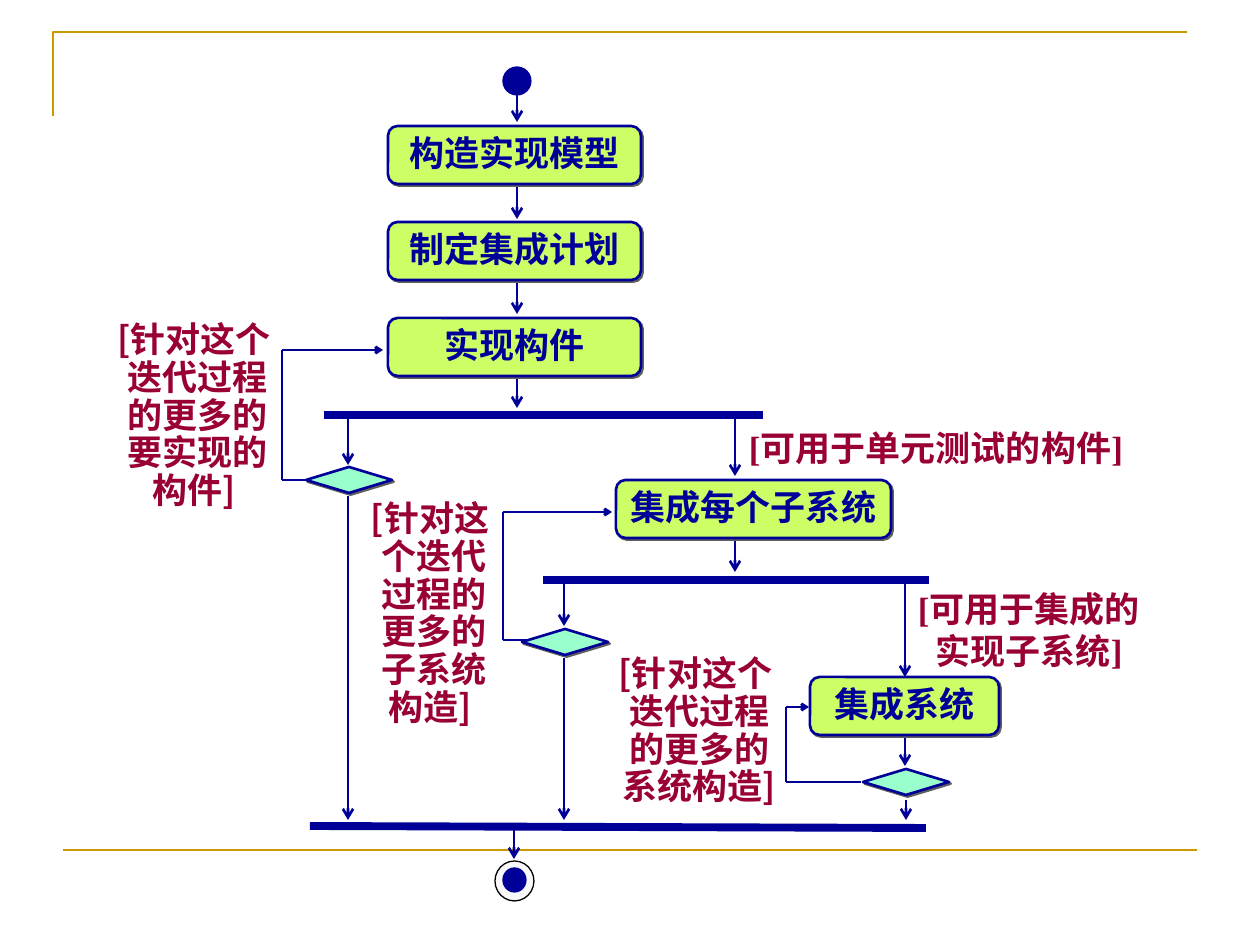
from itertools import pairwise

from lxml.etree import SubElement
from pptx import Presentation
from pptx.dml.color import RGBColor
from pptx.enum.shapes import MSO_CONNECTOR, MSO_SHAPE
from pptx.enum.text import MSO_ANCHOR, MSO_AUTO_SIZE, PP_ALIGN
from pptx.oxml.ns import qn
from pptx.util import Pt

PX = 914400 / 126
NAVY = RGBColor(0x00, 0x00, 0x99)
GOLD = RGBColor(0xCC, 0x99, 0x00)
LIME = RGBColor(0xCC, 0xFF, 0x66)
MINT = RGBColor(0x99, 0xFF, 0xCC)
WINE = RGBColor(0x99, 0x00, 0x33)
PALE = RGBColor(0xF8, 0xF8, 0xF8)
BLACK = RGBColor(0x00, 0x00, 0x00)
SERIF = "Times New Roman"
SANS = "Noto Sans CJK SC"

ACTIVITIES = [
    ("构造实现模型", 388, 126, 253),
    ("制定集成计划", 388, 222, 253),
    ("实现构件", 388, 318, 253),
    ("集成每个子系统", 616, 480, 275),
    ("集成系统", 810, 677, 189),
]
DECISIONS = [(306, 467), (522, 629), (863, 769)]
FLOWS = [
    (517, 89, 122), (517, 185, 219), (517, 280, 314), (517, 374, 408),
    (348, 417, 465), (348, 496, 820), (735, 418, 476), (735, 514, 572),
    (564, 577, 626), (564, 658, 820), (905, 580, 677), (905, 717, 766),
    (906, 800, 820), (514, 827, 859),
]
LOOPS = [
    [(307, 480), (282, 480), (282, 350), (383, 350)],
    [(527, 640), (503, 640), (503, 512), (612, 512)],
    [(861, 782), (786, 782), (786, 707), (809, 707)],
]
BARS = [
    ((324, 415), (763, 415)),
    ((543, 580), (929, 580)),
    ((310, 826), (926, 828)),
]
GUARDS = [
    (["[可用于单元测试的构件]"], (728, 420, 416, 55), SERIF, 1.0),
    (["[可用于集成的", "实现子系统]"], (901, 581, 256, 97), SERIF, 1.0),
    (["[针对这个", " 迭代过程", " 的更多的", " 系统构造]"],
     (591, 650, 209, 164), SANS, 0.9),
    (["[针对这", " 个迭代", " 过程的", " 更多的", " 子系统", "构造]"],
     (352, 495, 156, 239), SANS, 0.9),
    (["[针对这个", " 迭代过程", " 的更多的", " 要实现的", "构件]"],
     (98, 316, 192, 202), SANS, 0.9),
]


def px(*lengths):
    """Turn lengths in px into EMU."""
    return [round(length * PX) for length in lengths]


def add_line(slide, start, end, color=NAVY, width=1.5, head=None):
    """Draw a straight line, with an open arrowhead of the given size if any."""
    line = slide.shapes.add_connector(MSO_CONNECTOR.STRAIGHT, *px(*start, *end))
    line.line.color.rgb = color
    line.line.width = Pt(width)
    if head:
        SubElement(line.line._get_or_add_ln(), qn("a:tailEnd"),
                   type="arrow", w=head, len=head)
    SubElement(line._element.spPr, qn("a:effectLst"))


def add_loop(slide, points):
    """Draw a bent return path that ends in an arrow."""
    segments = list(pairwise(points))
    for start, end in segments[:-1]:
        add_line(slide, start, end)
    add_line(slide, *segments[-1], head="sm")


def add_node(slide, kind, box, fill, outline=NAVY, width=1.5, shadow=False):
    """Add a filled preset shape, with a hard grey shadow if asked."""
    shape = slide.shapes.add_shape(kind, *px(*box))
    shape.fill.solid()
    shape.fill.fore_color.rgb = fill
    shape.line.color.rgb = outline
    shape.line.width = Pt(width)
    shape.shadow.inherit = False
    if shadow:
        effects = shape._element.spPr.find(qn("a:effectLst"))
        outer = SubElement(effects, qn("a:outerShdw"), dist=str(Pt(1.4)),
                           dir="2700000", algn="ctr", rotWithShape="0")
        SubElement(outer, qn("a:srgbClr"), val="5F5F5F")
    return shape


def write_text(shape, lines, color, font_name, spacing):
    """Set bold centred lines in a shape that does not wrap."""
    frame = shape.text_frame
    frame.word_wrap = False
    frame.text = "\n".join(lines)
    for paragraph in frame.paragraphs:
        paragraph.alignment = PP_ALIGN.CENTER
        paragraph.line_spacing = spacing
        for run in paragraph.runs:
            run.font.name = font_name
            run.font.size = Pt(20)
            run.font.bold = True
            run.font.color.rgb = color
            SubElement(run.font._element, qn("a:ea"), typeface=SANS)


def add_activity(slide, name, left, top, width):
    """Add a rounded activity box with its name."""
    shape = add_node(slide, MSO_SHAPE.ROUNDED_RECTANGLE,
                     (left, top, width, 58), LIME, shadow=True)
    shape.text_frame.vertical_anchor = MSO_ANCHOR.MIDDLE
    write_text(shape, [name], NAVY, SERIF, 0.95)


def add_guard(slide, lines, box, font_name, spacing):
    """Add a guard condition beside a flow."""
    shape = slide.shapes.add_textbox(*px(*box))
    write_text(shape, lines, WINE, font_name, spacing)
    shape.text_frame.auto_size = MSO_AUTO_SIZE.SHAPE_TO_FIT_TEXT


def add_frame(slide):
    """Draw the gold corner and the gold bottom rule."""
    builder = slide.shapes.build_freeform(53, 116, scale=PX)
    builder.add_line_segments([(53, 32), (1187, 32)], close=False)
    corner = builder.convert_to_shape()
    corner.fill.background()
    corner.line.color.rgb = GOLD
    corner.line.width = Pt(1.5)
    corner.shadow.inherit = False
    add_line(slide, (63, 850), (1197, 850), GOLD)


def main():
    """Build the activity diagram slide."""
    presentation = Presentation()
    presentation.slide_width, presentation.slide_height = px(1260, 945)
    slide = presentation.slides.add_slide(presentation.slide_layouts[6])
    add_frame(slide)
    for x, top, bottom in FLOWS:
        add_line(slide, (x, top), (x, bottom), head="med")
    for activity in ACTIVITIES:
        add_activity(slide, *activity)
    for left, top in DECISIONS:
        add_node(slide, MSO_SHAPE.DIAMOND, (left, top, 86, 26), MINT, shadow=True)
    for points in LOOPS:
        add_loop(slide, points)
    for start, end in BARS:
        add_line(slide, start, end, width=4.5)
    for guard in GUARDS:
        add_guard(slide, *guard)
    add_node(slide, MSO_SHAPE.OVAL, (503, 67, 28, 28), NAVY, width=0.75)
    add_node(slide, MSO_SHAPE.OVAL, (495, 861, 39, 40), PALE, BLACK, 0.75)
    add_node(slide, MSO_SHAPE.OVAL, (503, 868, 23, 24), NAVY, width=0.75)
    presentation.save("out.pptx")


if __name__ == "__main__":
    main()
